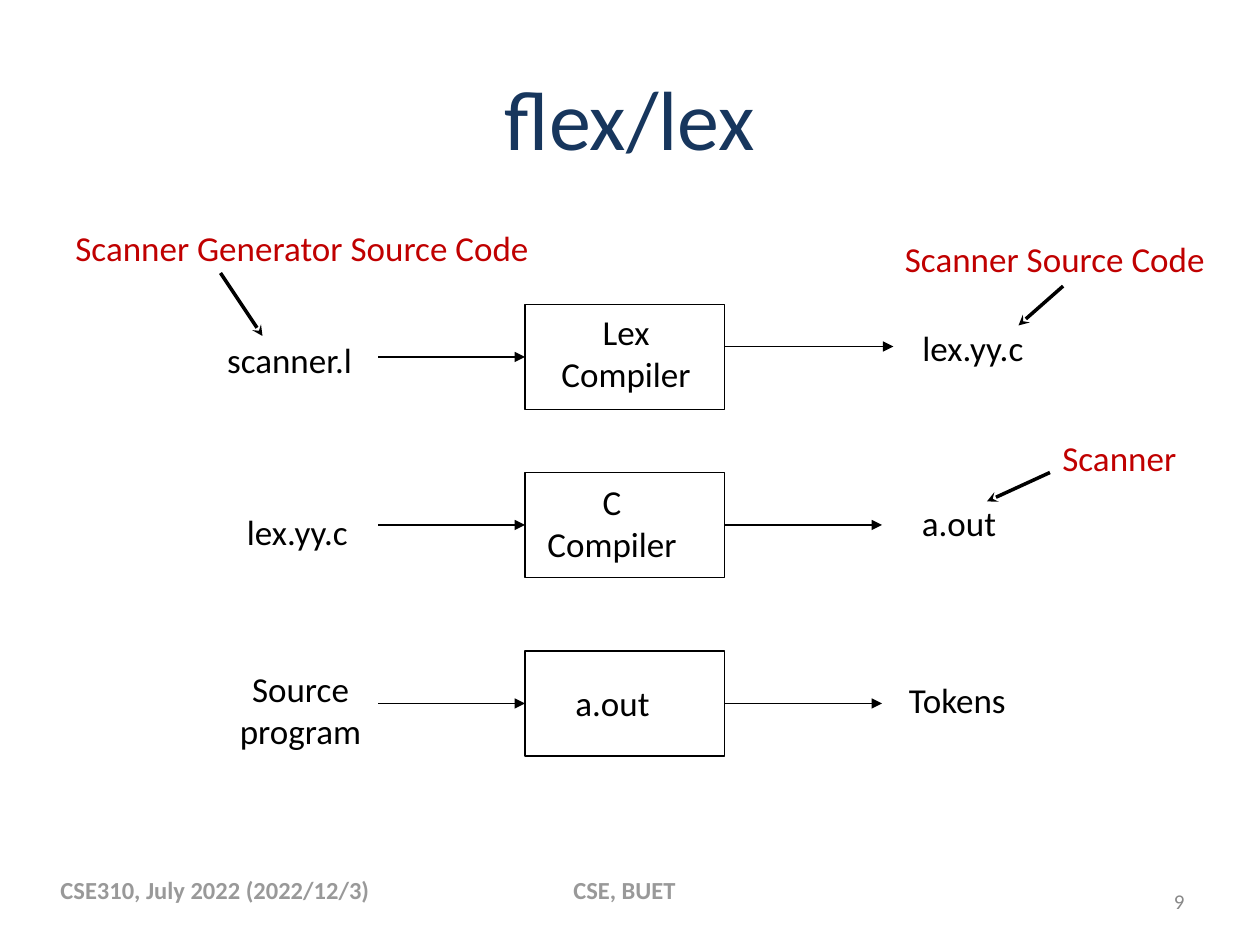
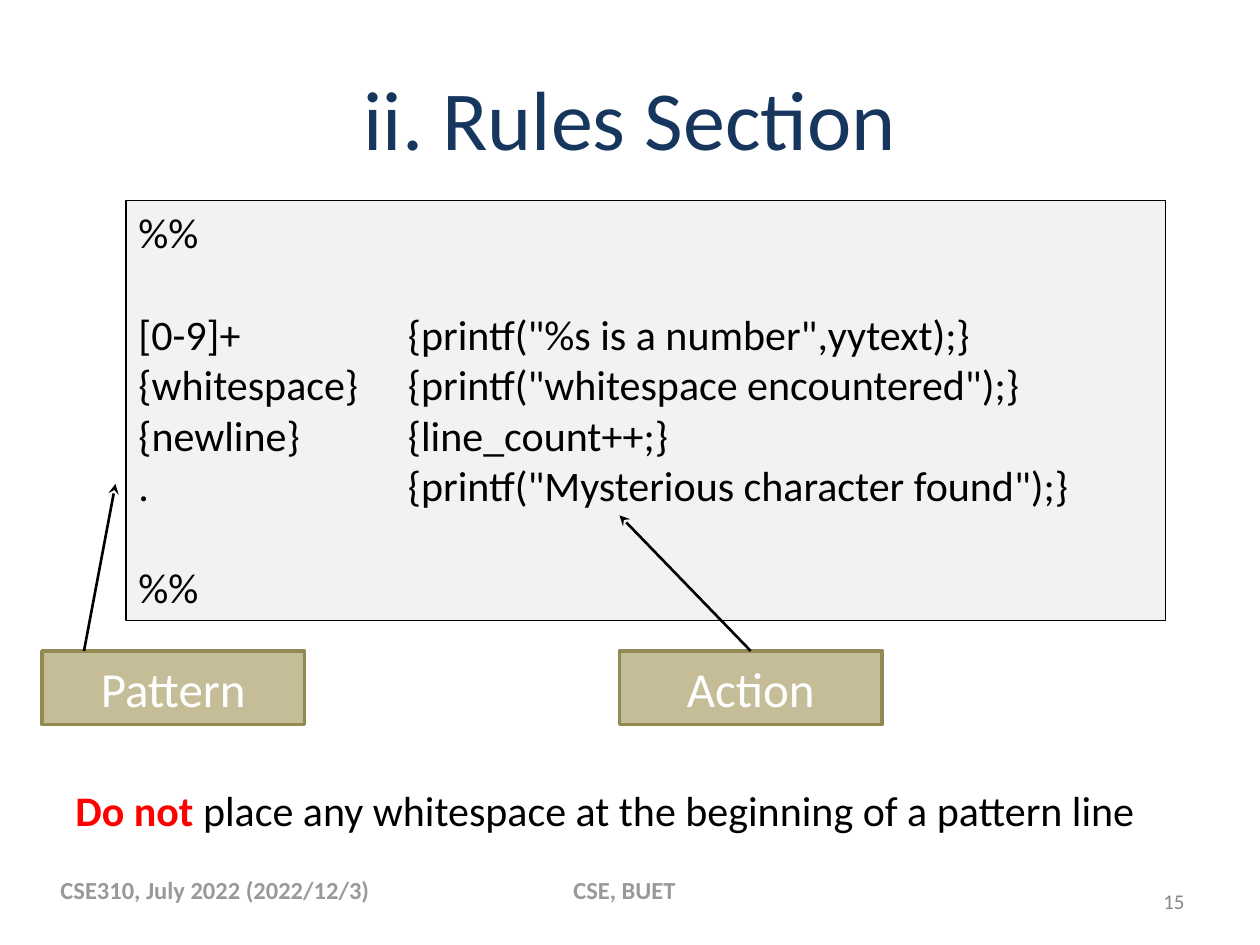
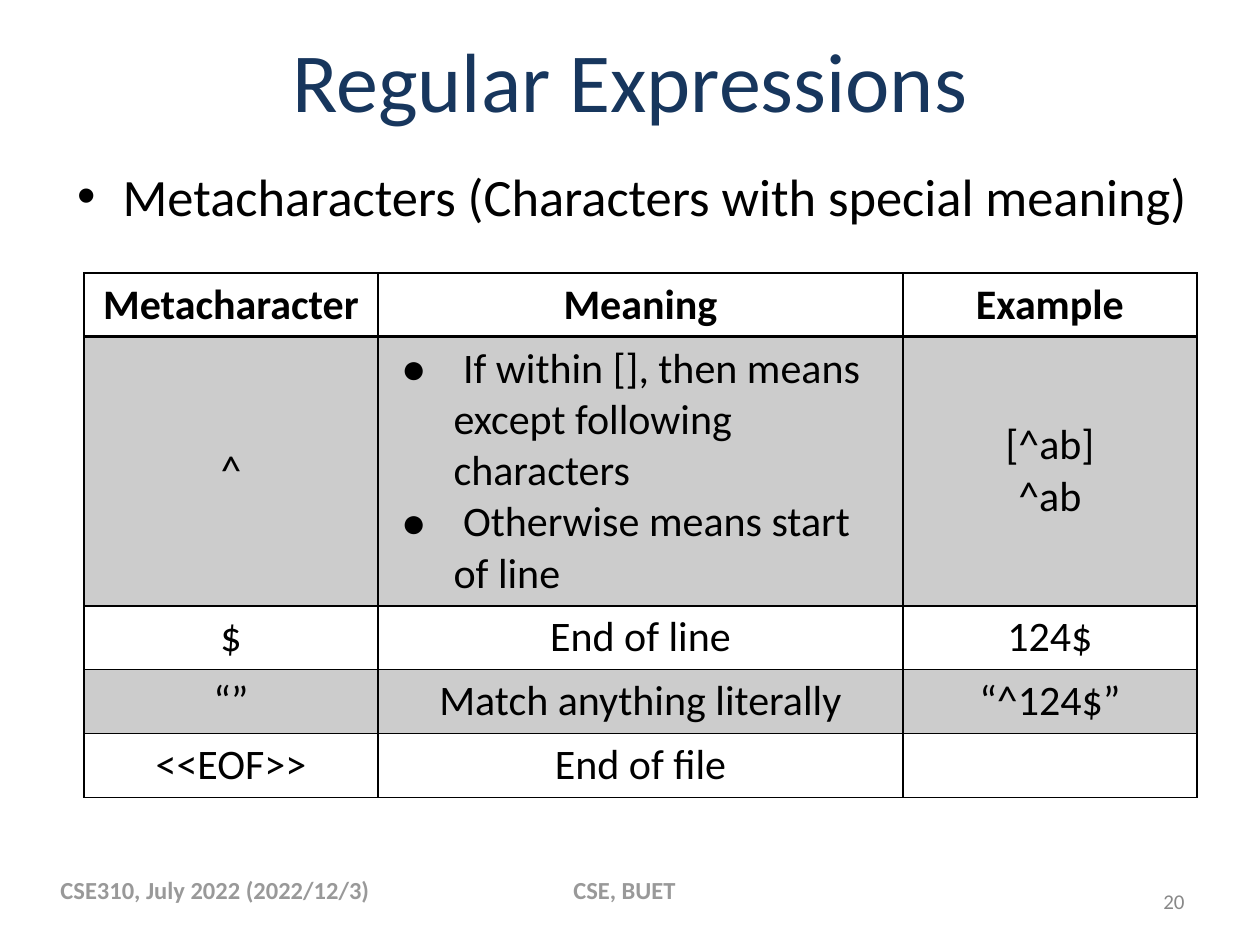
"""Build three lecture slides on the lex scanner generator."""
import pptx
import pptx.dml.color
import pptx.enum.shapes
import pptx.enum.text
import pptx.oxml
import pptx.oxml.ns
import pptx.util

Pt = pptx.util.Pt
ALIGN = pptx.enum.text.PP_ALIGN
ANCHOR = pptx.enum.text.MSO_ANCHOR
FONT = "Calibri"
COLORS = {"title": "17365D", "ink": "000000", "note": "C00000", "warning": "FF0000",
          "footer": "999999", "number": "888888", "code": "F2F2F2", "tag": "C4BD97",
          "tag_edge": "938953", "tag_text": "FFFFFF", "band": "CCCCCC"}

FOOTERS = [("CSE310, July 2022 (2022/12/3)", 27.5, 194), ("CSE, BUET", 320.5, 82)]

STAGE_LEFT, STAGE_WIDTH, STAGE_HEIGHT = 300, 114, 60
INPUT_START = 216
STAGES = [
    {"top": 174, "output_end": 510.5, "output_y": 198},
    {"top": 270, "output_end": 504},
    {"top": 372, "output_end": 504},
]
STAGE_LABELS = [
    (["scanner.l"], 120, 190, 91), (["Lex", "Compiler"], 312.5, 174, 90.5),
    (["lex.yy.c"], 517, 183, 78),
    (["lex.yy.c"], 131, 288, 78), (["C", "Compiler"], 304.5, 271, 90.5),
    (["a.out"], 519, 283, 58),
    (["Source", "program"], 127.5, 378, 88.5), (["a.out"], 321, 386, 58),
    (["Tokens"], 510, 384, 74),
]
NOTES = [
    ("Scanner Generator Source Code", (36, 126, 286.5), (126, 156, 150, 192)),
    ("Scanner Source Code", (510, 132, 195), (607.5, 163.5, 582, 186)),
    ("Scanner", (600, 246, 83.5), (600, 270, 564, 286.5)),
]

CODE_LINE, ACTION_TAB = 29.3, 154
CODE = [
    ("%%", 0),
    ('[0-9]+\t{printf("%s is a number",yytext);}', CODE_LINE),
    ('{whitespace}\t{printf("whitespace encountered");}', 0),
    ("{newline}\t{line_count++;}", 0),
    ('.\t{printf("Mysterious character found");}', 0),
    ("%%", CODE_LINE),
]
TAGS = [("Pattern", 24, (48, 372, 66, 276.5)), ("Action", 354, (429, 372, 354, 294.5))]
WARNING = [("Do not ", "warning", True),
           ("place any whitespace at the beginning of a pattern line", "ink", False)]

METACHARACTERS_INTRO = "Metacharacters (Characters with special meaning)"
COLUMN_WIDTHS = [168, 300, 168]
METACHARACTERS = [
    (["Metacharacter"], ["Meaning"], ["Example"]),
    (["^"], [" If within [], then means except following characters",
             " Otherwise means start of line"], ["[^ab]", "^ab"]),
    (["$"], ["End of line"], ["124$"]),
    (["“”"], ["Match anything literally"], ["“^124$”"]),
    (["<<EOF>>"], ["End of file"], []),
]
ROW_HEIGHTS = [36.5, 153.7, 36.5, 36.5, 36.5]


def rgb(name):
    return pptx.dml.color.RGBColor.from_string(COLORS[name])


def drawing_xml(markup):
    head, tail = markup.split(" ", 1)
    return pptx.oxml.parse_xml(f"{head} {pptx.oxml.ns.nsdecls('a')} {tail}")


def add_run(paragraph, words, size, color="ink", bold=False):
    run = paragraph.add_run()
    run.text = words
    run.font.name, run.font.size, run.font.bold = FONT, Pt(size), bold
    run.font.color.rgb = rgb(color)


def write(frame, lines, size, color="ink", align=ALIGN.LEFT, bold=False):
    for index, line in enumerate(lines):
        paragraph = frame.add_paragraph() if index else frame.paragraphs[0]
        paragraph.alignment = align
        add_run(paragraph, line, size, color, bold)


def add_text(slide, lines, box, size, color="ink", align=ALIGN.LEFT, bold=False,
             anchor=ANCHOR.TOP):
    frame = slide.shapes.add_textbox(*map(Pt, box)).text_frame
    frame.word_wrap = True
    frame.vertical_anchor = anchor
    write(frame, lines, size, color, align, bold)
    return frame


def add_box(slide, box, fill=None, edge="ink", edge_width=0.75):
    shape = slide.shapes.add_shape(
        pptx.enum.shapes.MSO_SHAPE.RECTANGLE, *map(Pt, box))
    shape.shadow.inherit = False
    if fill:
        shape.fill.solid()
        shape.fill.fore_color.rgb = rgb(fill)
    else:
        shape.fill.background()
    shape.line.color.rgb = rgb(edge)
    shape.line.width = Pt(edge_width)
    return shape


def add_arrow(slide, ends, width, head):
    arrow = slide.shapes.add_connector(
        pptx.enum.shapes.MSO_CONNECTOR.STRAIGHT, *map(Pt, ends))
    arrow.line.color.rgb = rgb("ink")
    arrow.line.width = Pt(width)
    arrow.line._get_or_add_ln().append(drawing_xml(f'<a:tailEnd type="{head}"/>'))
    arrow._element.spPr.append(drawing_xml("<a:effectLst />"))
    return arrow


def set_bullet(paragraph, symbol, margin, indent):
    properties = paragraph._p.get_or_add_pPr()
    properties.set("marL", str(Pt(margin)))
    properties.set("indent", str(Pt(indent)))
    properties.append(drawing_xml('<a:buFont typeface="Arial"/>'))
    properties.append(drawing_xml(f'<a:buChar char="{symbol}"/>'))


def add_slide(deck, title, number, title_top=21.6):
    slide = deck.slides.add_slide(deck.slide_layouts[6])
    add_text(slide, [title], (36, title_top, 648, 90), 48, "title", ALIGN.CENTER,
             anchor=ANCHOR.MIDDLE)
    for words, left, width in FOOTERS:
        add_text(slide, [words], (left, 496, width, 25), 14, "footer", bold=True,
                 anchor=ANCHOR.MIDDLE)
    add_text(slide, [str(number)], (516, 500.5, 168, 28.75), 12, "number", ALIGN.RIGHT,
             anchor=ANCHOR.MIDDLE)
    return slide


def build_flex(deck):
    slide = add_slide(deck, "flex/lex", 9)
    stage_right = STAGE_LEFT + STAGE_WIDTH
    for stage in STAGES:
        box = add_box(slide, (STAGE_LEFT, stage["top"], STAGE_WIDTH, STAGE_HEIGHT))
        middle = stage["top"] + STAGE_HEIGHT / 2
        output_y = stage.get("output_y", middle)
        feed = add_arrow(slide, (INPUT_START, middle, STAGE_LEFT, middle), 0.75, "triangle")
        feed.end_connect(box, 1)
        output = add_arrow(slide, (stage_right, output_y, stage["output_end"], output_y),
                           0.75, "triangle")
        if output_y == middle:
            output.begin_connect(box, 3)
    for lines, left, top, width in STAGE_LABELS:
        add_text(slide, lines, (left, top, width, 7.5 + 24.25 * len(lines)), 20,
                 align=ALIGN.CENTER)
    for words, place, pointer in NOTES:
        add_text(slide, [words], (*place, 31.75), 20, "note")
        add_arrow(slide, pointer, 2, "stealth")


def build_rules(deck):
    slide = add_slide(deck, "ii. Rules Section", 15)
    code = add_box(slide, (72, 114.5, 594, 240), "code").text_frame
    code.word_wrap = True
    code.vertical_anchor = ANCHOR.TOP
    write(code, [line for line, _ in CODE], 24)
    for paragraph, (_, gap) in zip(code.paragraphs, CODE):
        paragraph.space_before = Pt(gap)
        paragraph._p.get_or_add_pPr().append(drawing_xml(
            f'<a:tabLst ><a:tab pos="{Pt(ACTION_TAB)}" algn="l"/></a:tabLst>'))
    for words, left, pointer in TAGS:
        tag = add_box(slide, (left, 372, 150, 42), "tag", "tag_edge", 2)
        tag.text_frame.vertical_anchor = ANCHOR.MIDDLE
        write(tag.text_frame, [words], 28, "tag_text", ALIGN.CENTER)
        arrow = add_arrow(slide, pointer, 1.5, "stealth")
        if pointer[0] == left + 75:
            arrow.begin_connect(tag, 0)
    warning = add_text(slide, [], (36, 445, 648, 36), 24).paragraphs[0]
    for words, color, bold in WARNING:
        add_run(warning, words, 24, color, bold)


def set_borders(cell, row):
    properties = cell._tc.get_or_add_tcPr()
    for side in "LRTB":
        heavy = (row, side) in [(0, "B"), (1, "T")]
        properties.append(drawing_xml(
            f'<a:ln{side} w="{Pt(2 if heavy else 1)}"><a:solidFill>'
            f'<a:srgbClr val="{COLORS["ink"]}"/></a:solidFill></a:ln{side}>'))


def build_expressions(deck):
    slide = add_slide(deck, "Regular Expressions", 20, title_top=0)
    intro = add_text(slide, [METACHARACTERS_INTRO], (36, 90, 672, 426), 30)
    set_bullet(intro.paragraphs[0], "•", 27, -26)
    table = slide.shapes.add_table(
        len(METACHARACTERS), len(COLUMN_WIDTHS), Pt(48), Pt(156),
        Pt(sum(COLUMN_WIDTHS)), Pt(sum(ROW_HEIGHTS))).table
    table.first_row = table.horz_banding = False
    for column, width in zip(table.columns, COLUMN_WIDTHS):
        column.width = Pt(width)
    for row, (entries, height) in enumerate(zip(METACHARACTERS, ROW_HEIGHTS)):
        table.rows[row].height = Pt(height)
        for column, lines in enumerate(entries):
            cell = table.cell(row, column)
            set_borders(cell, row)
            if row % 2:
                cell.fill.solid()
                cell.fill.fore_color.rgb = rgb("band")
            else:
                cell.fill.background()
            cell.vertical_anchor = ANCHOR.MIDDLE if row else ANCHOR.TOP
            bulleted = column == 1 and len(lines) > 1
            write(cell.text_frame, lines, 24, bold=row == 0,
                  align=ALIGN.LEFT if bulleted else ALIGN.CENTER)
            if bulleted:
                for paragraph in cell.text_frame.paragraphs:
                    set_bullet(paragraph, "●", 36, -30)


def main():
    deck = pptx.Presentation()
    deck.slide_width, deck.slide_height = Pt(720), Pt(540)
    build_flex(deck)
    build_rules(deck)
    build_expressions(deck)
    deck.save("out.pptx")


if __name__ == "__main__":
    main()
